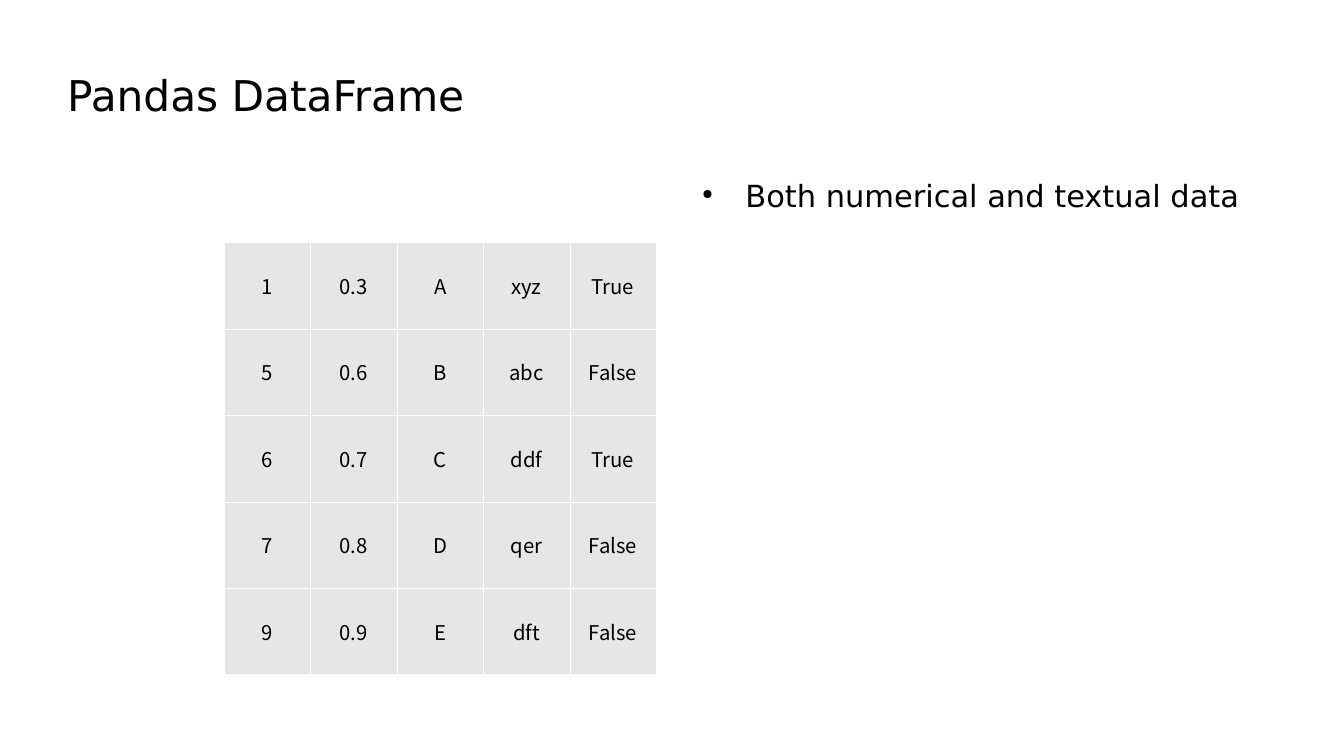
from lxml import etree
from pptx import Presentation
from pptx import util as u
from pptx.dml.color import RGBColor
from pptx.enum import text
from pptx.oxml.ns import qn

BLACK = RGBColor(0x00, 0x00, 0x00)
WHITE = RGBColor(0xFF, 0xFF, 0xFF)
CELL_GREY = RGBColor(0xE6, 0xE6, 0xE6)
HEADING_FONT = "DejaVu Sans"
TABLE_FONT = "Noto Sans CJK KR"
CELL_SIZE = u.Cm(1.8)
ROWS = [
    ["1", "0.3", "A", "xyz", "True"],
    ["5", "0.6", "B", "abc", "False"],
    ["6", "0.7", "C", "ddf", "True"],
    ["7", "0.8", "D", "qer", "False"],
    ["9", "0.9", "E", "dft", "False"],
]


def write(frame, content, *, size, font=HEADING_FONT, align=text.PP_ALIGN.LEFT):
    paragraph = frame.paragraphs[0]
    paragraph.alignment = align
    run = paragraph.add_run()
    run.text = content
    run.font.size = u.Pt(size)
    run.font.name = font
    run.font.color.rgb = BLACK
    return paragraph


def clear_margins(frame):
    frame.margin_left = frame.margin_top = frame.margin_right = frame.margin_bottom = 0
    frame.word_wrap = True


presentation = Presentation()
presentation.slide_width = u.Cm(28)
presentation.slide_height = u.Cm(15.75)
slide = presentation.slides.add_slide(presentation.slide_layouts[5])
slide.background.fill.solid()
slide.background.fill.fore_color.rgb = WHITE

title = slide.shapes.title
title.left, title.top = u.Cm(1.4), u.Cm(0.64)
title.width, title.height = u.Cm(25.2), u.Cm(2.64)
clear_margins(title.text_frame)
title.text_frame.vertical_anchor = text.MSO_ANCHOR.MIDDLE
write(title.text_frame, "Pandas DataFrame", size=25)

body = slide.shapes.add_textbox(u.Cm(14.33), u.Cm(3.68), u.Cm(12.29), u.Cm(9.14))
clear_margins(body.text_frame)
bullet_paragraph = write(body.text_frame, "Both numerical and textual data", size=18)
properties = bullet_paragraph._p.get_or_add_pPr()
properties.set("marL", str(u.Cm(1.2)))
properties.set("indent", str(u.Cm(-0.9)))
bullet_color = etree.SubElement(properties, qn("a:buClr"))
etree.SubElement(bullet_color, qn("a:srgbClr"), val=str(BLACK))
etree.SubElement(properties, qn("a:buSzPct"), val="45000")
etree.SubElement(properties, qn("a:buChar"), char="●")

table_width, table_height = CELL_SIZE * len(ROWS[0]), CELL_SIZE * len(ROWS)
table = slide.shapes.add_table(
    len(ROWS), len(ROWS[0]), u.Cm(4.67), u.Cm(5.05), table_width, table_height
).table
table.first_row = False
table.horz_banding = False
for row_index, values in enumerate(ROWS):
    for column_index, value in enumerate(values):
        cell = table.cell(row_index, column_index)
        cell.vertical_anchor = text.MSO_ANCHOR.MIDDLE
        write(cell.text_frame, value, size=12, font=TABLE_FONT, align=text.PP_ALIGN.CENTER)
        cell_properties = cell._tc.get_or_add_tcPr()
        for side in ("a:lnL", "a:lnR", "a:lnT", "a:lnB"):
            border = etree.SubElement(cell_properties, qn(side), w=str(u.Pt(0.06)))
            border_fill = etree.SubElement(border, qn("a:solidFill"))
            etree.SubElement(border_fill, qn("a:srgbClr"), val=str(WHITE))
        cell.fill.solid()
        cell.fill.fore_color.rgb = CELL_GREY

presentation.save("out.pptx")
